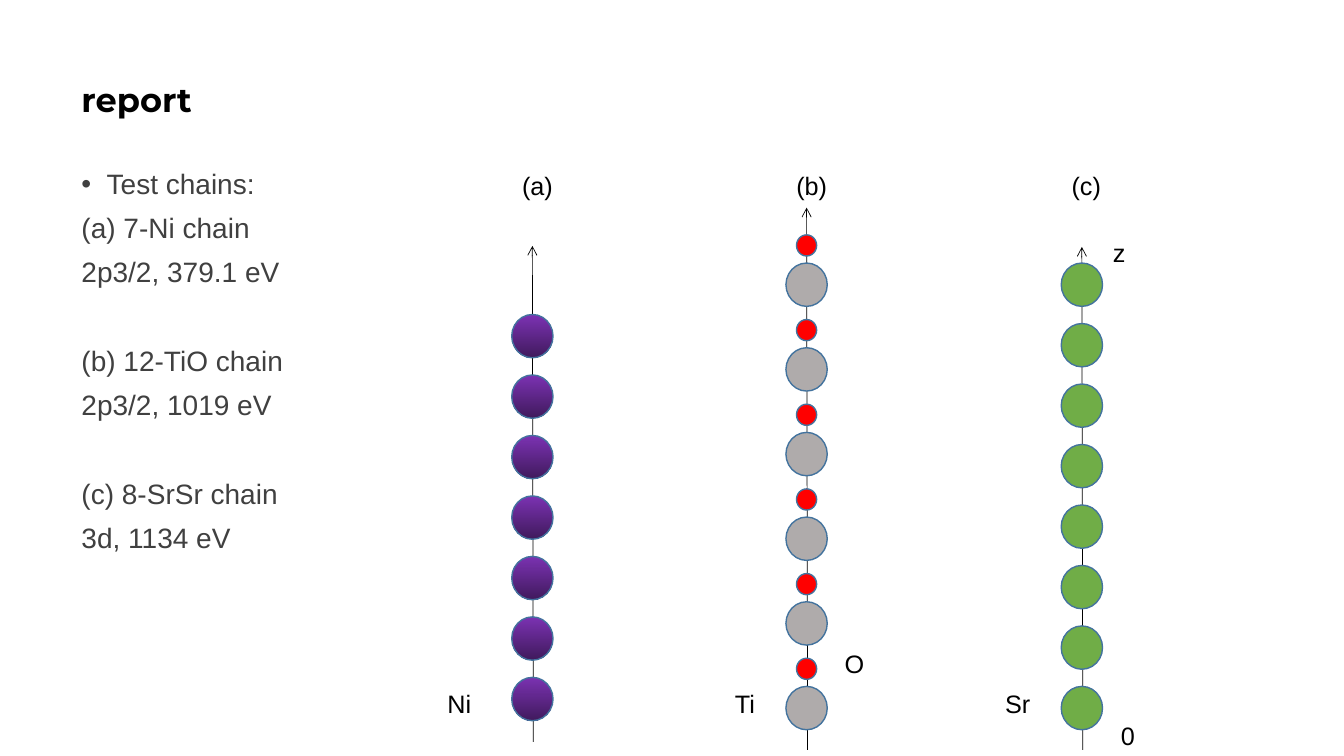
from dataclasses import dataclass

from lxml.etree import SubElement
from pptx import Presentation
from pptx.dml.color import RGBColor
from pptx.enum.shapes import MSO_CONNECTOR, MSO_SHAPE
from pptx.enum.text import MSO_ANCHOR
from pptx.oxml.ns import qn
from pptx.util import Inches, Pt


@dataclass(frozen=True)
class Theme:
    """Colours, fonts and type sizes of the slide."""

    black: str = "000000"
    body: str = "404040"
    outline: str = "43739E"
    nickel: tuple = ("7B32B2", "401A5D")
    titanium: tuple = ("AFABAB",)
    oxygen: tuple = ("FF0000",)
    strontium: tuple = ("70AD47",)
    title_font: str = "Montserrat"
    text_font: str = "Arial"
    title_size: int = 24
    body_size: int = 20
    label_size: int = 18


THEME = Theme()
LARGE_ATOM = (0.41, 0.43)
SMALL_ATOM = (0.2, 0.21)
LABEL_HEIGHT = 0.4
CAPTION_TOP = 1.64
ELEMENT_TOP = 6.78
BODY_GROUPS = (
    ("Test chains:", "(a) 7-Ni chain", "2p3/2, 379.1 eV"),
    ("(b) 12-TiO chain", "2p3/2, 1019 eV"),
    ("(c) 8-SrSr chain", "3d, 1134 eV"),
)


def apply_format(target, values):
    """Set every attribute named in a dict of format values."""
    for name, value in values.items():
        setattr(target, name, value)


def font_format(size, color, name=THEME.text_font, bold=False):
    """Return the format values of a font, and its colour."""
    return {"size": Pt(size), "name": name, "bold": bold}, RGBColor.from_string(color)


def style_font(font, style):
    """Apply a font style made by font_format."""
    values, color = style
    apply_format(font, values)
    font.color.rgb = color


def add_text_box(shapes, box, anchor=MSO_ANCHOR.TOP):
    """Add an empty wrapping text box and return its text frame."""
    frame = shapes.add_textbox(*map(Inches, box)).text_frame
    apply_format(frame, {"word_wrap": True, "vertical_anchor": anchor})
    return frame


def add_title(shapes, text):
    """Add the slide title."""
    frame = add_text_box(shapes, (0.71, 0.28, 11.5, 1.45), MSO_ANCHOR.MIDDLE)
    paragraph = frame.paragraphs[0]
    apply_format(paragraph, {"text": text, "line_spacing": 0.9})
    style = font_format(THEME.title_size, THEME.black, THEME.title_font, True)
    style_font(paragraph.font, style)


def add_bullet(paragraph):
    """Give a paragraph a hanging round bullet."""
    properties = paragraph._p.get_or_add_pPr()
    properties.set("marL", str(Inches(0.25)))
    properties.set("indent", str(Inches(-0.25)))
    SubElement(properties, qn("a:buFont")).set("typeface", THEME.text_font)
    SubElement(properties, qn("a:buChar")).set("char", "•")


def add_body(shapes, groups):
    """Add the list of test chains, with a wide gap between groups."""
    frame = add_text_box(shapes, (0.71, 1.64, 11.5, 4.76))
    style = font_format(THEME.body_size, THEME.body)
    for group_index, group in enumerate(groups):
        for line_index, text in enumerate(group):
            first = group_index == line_index == 0
            paragraph = frame.paragraphs[0] if first else frame.add_paragraph()
            paragraph.text = text
            paragraph.line_spacing = 0.9
            if first:
                add_bullet(paragraph)
            else:
                paragraph.space_before = Pt(10 if line_index else 41.6)
            style_font(paragraph.font, style)


def add_label(shapes, text, left, top, width=0.5):
    """Add a short label beside a chain."""
    paragraph = add_text_box(shapes, (left, top, width, LABEL_HEIGHT)).paragraphs[0]
    paragraph.text = text
    style_font(paragraph.font, font_format(THEME.label_size, THEME.black))


def add_axis(shapes, center, bottom, top):
    """Add the thin z axis with an open arrowhead at its top."""
    points = (center + 0.01, bottom, center, top)
    axis = shapes.add_connector(MSO_CONNECTOR.STRAIGHT, *map(Inches, points))
    axis.line.width = Pt(0.5)
    axis.line.color.rgb = RGBColor.from_string(THEME.black)
    SubElement(axis.line._get_or_add_ln(), qn("a:tailEnd")).set("type", "arrow")
    SubElement(axis._element.spPr, qn("a:effectLst"))


def fill_atom(fill, colors):
    """Fill with one colour, or with a downward gradient of two."""
    if len(colors) == 1:
        fill.solid()
        fill.fore_color.rgb = RGBColor.from_string(colors[0])
        return
    fill.gradient()
    fill.gradient_angle = 270
    for stop, color in zip(fill.gradient_stops, colors):
        stop.color.rgb = RGBColor.from_string(color)


def add_atoms(shapes, center, top, step, count, size, colors):
    """Add a column of equally spaced atoms centred on the axis."""
    width, height = size
    for index in range(count):
        box = (center - width / 2, top + index * step, width, height)
        atom = shapes.add_shape(MSO_SHAPE.OVAL, *map(Inches, box))
        atom.shadow.inherit = False
        fill_atom(atom.fill, colors)
        atom.line.color.rgb = RGBColor.from_string(THEME.outline)
        atom.line.width = Pt(1)


def add_chain(slide, caption, center, axis, columns, labels):
    """Add one grouped chain: axis, atom columns, labels and caption."""
    shapes = slide.shapes.add_group_shape().shapes
    add_axis(shapes, center, *axis)
    for column in columns:
        add_atoms(shapes, center, *column)
    for label in labels:
        add_label(shapes, *label)
    add_label(shapes, caption, center - 0.2, CAPTION_TOP, 0.63)


def main():
    """Build the slide and save it."""
    presentation = Presentation()
    size = {"slide_width": Inches(13.33), "slide_height": Inches(7.5)}
    apply_format(presentation, size)
    slide = presentation.slides.add_slide(presentation.slide_layouts[6])
    add_title(slide.shapes, "report")
    add_body(slide.shapes, BODY_GROUPS)
    add_chain(
        slide, "(a)", 5.28, (7.36, 2.44),
        [(3.12, 0.6, 7, LARGE_ATOM, THEME.nickel)],
        [("Ni", 4.34, ELEMENT_TOP)],
    )
    add_chain(
        slide, "(b)", 8, (7.44, 2.06),
        [(2.61, 0.84, 6, LARGE_ATOM, THEME.titanium),
         (2.33, 0.84, 6, SMALL_ATOM, THEME.oxygen)],
        [("Ti", 7.19, ELEMENT_TOP), ("O", 8.28, 6.38)],
    )
    add_chain(
        slide, "(c)", 10.73, (7.44, 2.45),
        [(2.61, 0.6, 8, LARGE_ATOM, THEME.strontium)],
        [("z", 10.94, 2.31, 0.43), ("0", 11.02, 7.1, 0.43),
         ("Sr", 9.87, ELEMENT_TOP)],
    )
    presentation.save("out.pptx")


if __name__ == "__main__":
    main()
